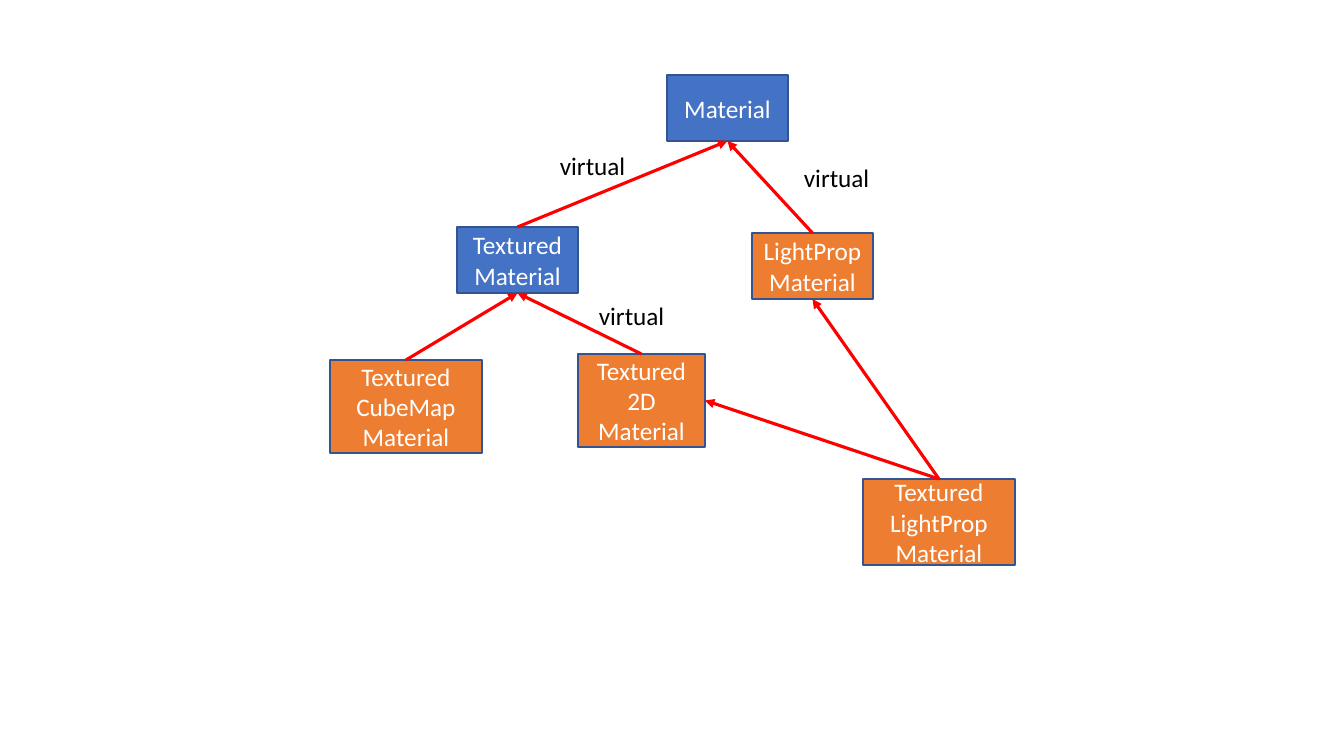
import pptx
import pptx.util
import pptx.dml.color
import pptx.enum.dml
import pptx.enum.shapes
import pptx.enum.text
import pptx.oxml
import pptx.oxml.ns

SCALE = 12192000 / 1344  # EMU per pixel
BLUE, ORANGE, EDGE = "4472C4", "ED7D31", "325491"
RED, WHITE, BLACK = "FF0000", "FFFFFF", "000000"
TOP, BOTTOM, RIGHT = 0, 2, 3  # connection sites of a rectangle

# name: text, left, top, width, height, fill
BOXES = {
    "base": ("Material", 667, 75, 121, 66, BLUE),
    "tex": ("TexturedMaterial", 457, 227, 121, 66, BLUE),
    "light": ("LightPropMaterial", 752, 233, 121, 66, ORANGE),
    "flat": ("Textured 2D Material", 578, 354, 127, 93, ORANGE),
    "cube": ("Textured CubeMap Material", 330, 360, 152, 93, ORANGE),
    "both": ("Textured LightProp Material", 863, 479, 152, 86, ORANGE),
}

# child, parent, site on the parent
LINKS = [
    ("tex", "base", BOTTOM),
    ("light", "base", BOTTOM),
    ("flat", "tex", BOTTOM),
    ("cube", "tex", BOTTOM),
    ("both", "light", BOTTOM),
    ("both", "flat", RIGHT),
]

# left, top of each "virtual" label
LABELS = [(794, 157), (589, 295), (550, 145)]


def px(*vals):
    return [pptx.util.Emu(round(val * SCALE)) for val in vals]


def color(code):
    return pptx.dml.color.RGBColor.from_string(code)


def style(item, form):
    for key, val in form.items():
        setattr(item, key, val)


def write(shape, text, code, align, form):
    frame = shape.text_frame
    style(frame, form)
    para = frame.paragraphs[0]
    para.alignment = align
    run = para.add_run()
    run.text = text
    style(run.font, {"name": "Calibri", "size": pptx.util.Pt(18)})
    run.font.color.rgb = color(code)


def add_box(slide, text, left, top, width, height, fill):
    kind = pptx.enum.shapes.MSO_SHAPE.RECTANGLE
    box = slide.shapes.add_shape(kind, *px(left, top, width, height))
    box.shadow.inherit = False
    box.fill.solid()
    box.fill.fore_color.rgb = color(fill)
    box.line.color.rgb = color(EDGE)
    box.line.width = pptx.util.Pt(1)
    write(box, text, WHITE, pptx.enum.text.PP_ALIGN.CENTER, {
        "word_wrap": True,
        "vertical_anchor": pptx.enum.text.MSO_ANCHOR.MIDDLE,
    })
    return box


def add_link(slide, child, parent, site):
    kind = pptx.enum.shapes.MSO_CONNECTOR.STRAIGHT
    link = slide.shapes.add_connector(kind, 0, 0, 0, 0)
    link.begin_connect(child, TOP)
    link.end_connect(parent, site)
    link.line.color.rgb = color(RED)
    link.line.width = pptx.util.Pt(2.25)
    # Arrowhead at the parent, no shadow
    props = link.line._get_or_add_ln()
    head = pptx.oxml.parse_xml(
        "<a:tailEnd %s type='triangle'/>" % pptx.oxml.ns.nsdecls("a"))
    props.append(head)
    plain = pptx.oxml.parse_xml(
        "<a:effectLst %s/>" % pptx.oxml.ns.nsdecls("a"))
    props.addnext(plain)


def add_label(slide, left, top):
    label = slide.shapes.add_textbox(*px(left, top, 87, 40))
    write(label, "virtual", BLACK, pptx.enum.text.PP_ALIGN.LEFT, {
        "word_wrap": False,
        "auto_size": pptx.enum.text.MSO_AUTO_SIZE.SHAPE_TO_FIT_TEXT,
    })


def main():
    deck = pptx.Presentation()
    deck.slide_width, deck.slide_height = px(1344, 756)
    slide = deck.slides.add_slide(deck.slide_layouts[6])

    # Classes
    boxes = {name: add_box(slide, *data) for name, data in BOXES.items()}

    # Inheritance arrows
    for child, parent, site in LINKS:
        add_link(slide, boxes[child], boxes[parent], site)

    # Virtual inheritance labels
    for spot in LABELS:
        add_label(slide, *spot)

    deck.save("out.pptx")


main()
